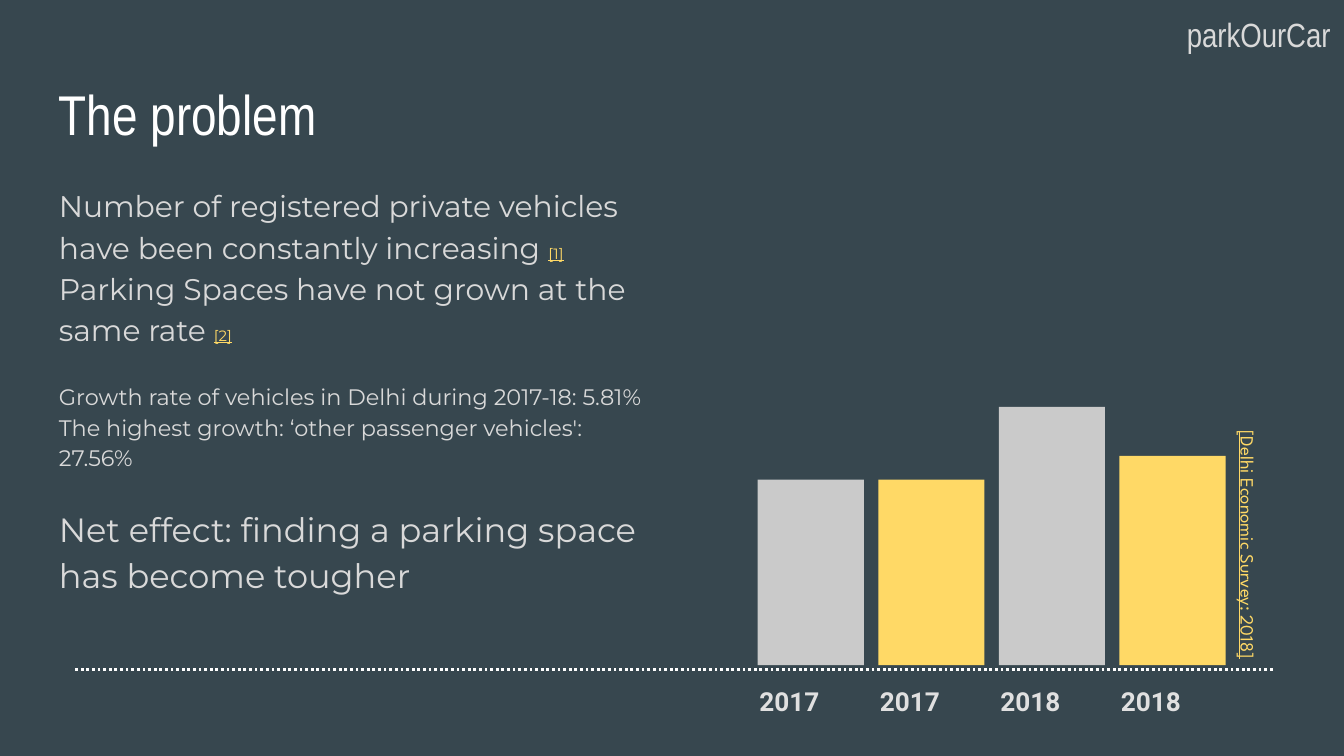
from lxml import etree
from pptx import Presentation
from pptx.dml.color import RGBColor
from pptx.enum.dml import MSO_LINE
from pptx.enum.shapes import MSO_CONNECTOR, MSO_SHAPE
from pptx.enum.text import PP_ALIGN
from pptx.oxml.ns import qn
from pptx.util import Pt

RECT = MSO_SHAPE.RECTANGLE
STRAIGHT = MSO_CONNECTOR.STRAIGHT
DOT = MSO_LINE.ROUND_DOT
LEFT, RIGHT = PP_ALIGN.LEFT, PP_ALIGN.RIGHT

SLATE = RGBColor(0x37, 0x47, 0x4F)
WHITE = RGBColor(0xFF, 0xFF, 0xFF)
LIGHT = RGBColor(0xD9, 0xD9, 0xD9)
LABEL = RGBColor(0xE0, 0xE0, 0xE0)
GREY = RGBColor(0xCA, 0xCA, 0xCA)
YELLOW = RGBColor(0xFF, 0xD9, 0x66)

MARGIN = Pt(7.2)
LINE_SPACING = 1.15
NO_STYLE = "{2D5ABB26-0587-4C30-8999-92F81FD0307C}"

BAR_LEFT, BAR_PITCH, BAR_WIDTH, BAR_BOTTOM = 405.9, 64.6, 56.9, 356.4
BARS = [("2017", 99.4, GREY), ("2017", 99.4, YELLOW),
        ("2018", 138.4, GREY), ("2018", 112.2, YELLOW)]

BODY = [
    ("Number of registered private vehicles have been constantly increasing ", "[1]", 16, 0),
    ("Parking Spaces have not grown at the same rate ", "[2]", 16, 0),
    ("Growth rate of vehicles in Delhi during 2017-18: 5.81%", None, 12, 16.8),
    ("The highest growth: ‘other passenger vehicles': 27.56%", None, 12, 0),
    ("Net effect: finding a parking space has become tougher", None, 18, 16.8),
]


def set_margins(target):
    """Give a text frame or a cell equal margins."""
    target.margin_left = target.margin_right = MARGIN
    target.margin_top = target.margin_bottom = MARGIN


def set_font(font, name, size, color):
    """Set typeface, size and colour."""
    font.name, font.size = name, Pt(size)
    font.color.rgb = color


def add_box(s, left, top, width, height):
    """Add an empty wrapping text box."""
    sp = s.shapes.add_textbox(Pt(left), Pt(top), Pt(width), Pt(height))
    sp.text_frame.word_wrap = True
    set_margins(sp.text_frame)
    return sp


def add_label(s, box, text, name, size, color, align=LEFT):
    """Add a one-paragraph text box."""
    sp = add_box(s, *box)
    p = sp.text_frame.paragraphs[0]
    p.text, p.alignment = text, align
    set_font(p.font, name, size, color)
    return sp


def add_body(s):
    """Add the argument with its small reference marks."""
    tf = add_box(s, 24.5, 90.7, 335.5, 269.3).text_frame
    for i, (text, mark, size, gap) in enumerate(BODY):
        p = tf.add_paragraph() if i else tf.paragraphs[0]
        p.line_spacing = LINE_SPACING
        p.space_before = Pt(gap)
        set_font(p.font, "Montserrat", size, LIGHT)
        p.add_run().text = text
        if mark:
            r = p.add_run()
            r.text = mark
            set_font(r.font, "Montserrat", 8, YELLOW)
            r.font.underline = True


def add_bars(s):
    """Add the bars on a common base."""
    for i, (_, height, color) in enumerate(BARS):
        sp = s.shapes.add_shape(RECT, Pt(BAR_LEFT + i * BAR_PITCH), Pt(BAR_BOTTOM - height),
                                Pt(BAR_WIDTH), Pt(height))
        sp.shadow.inherit = False
        sp.fill.solid()
        sp.fill.fore_color.rgb = color
        sp.line.fill.background()


def add_years(s):
    """Add the table of years under the bars."""
    count = len(BARS)
    frame = s.shapes.add_table(1, count, Pt(399.6), Pt(358.5), Pt(count * BAR_PITCH), Pt(18.7))
    table = frame.table
    table.first_row = table.horz_banding = False
    table._tbl.tblPr.find(qn("a:tableStyleId")).text = NO_STYLE
    for cell, (year, _, _) in zip(table.rows[0].cells, BARS):
        cell.fill.background()
        set_margins(cell)
        p = cell.text_frame.paragraphs[0]
        p.text, p.line_spacing = year, LINE_SPACING
        set_font(p.font, "Roboto", 14, LABEL)
        p.font.bold = True


def add_baseline(s):
    """Add the dotted line below the bars."""
    line = s.shapes.add_connector(STRAIGHT, Pt(681.8), Pt(358.5), Pt(40.3), Pt(358.5))
    line.line.color.rgb = WHITE
    line.line.width = Pt(1.5)
    line.line.dash_style = DOT
    etree.SubElement(line._element.spPr, qn("a:effectLst"))


def main():
    """Build the slide and save it."""
    prs = Presentation()
    prs.slide_width, prs.slide_height = Pt(720), Pt(405)
    s = prs.slides.add_slide(prs.slide_layouts[6])
    s.background.fill.solid()
    s.background.fill.fore_color.rgb = SLATE
    add_body(s)
    add_label(s, (24.5, 35.3, 671, 45.4), "The problem", "Arial Narrow", 30, WHITE)
    add_years(s)
    add_bars(s)
    add_baseline(s)
    survey = add_label(s, (594, 270.7, 151.9, 26.6), "[Delhi Economic Survey: 2018]",
                       "League Spartan", 10, YELLOW, RIGHT)
    survey.rotation = 90
    p = survey.text_frame.paragraphs[0]
    p.line_spacing, p.font.underline = LINE_SPACING, True
    add_label(s, (568.8, 0, 151.2, 36.7), "parkOurCar", "Arial Narrow", 18, LIGHT, RIGHT)
    prs.save("out.pptx")


if __name__ == "__main__":
    main()
